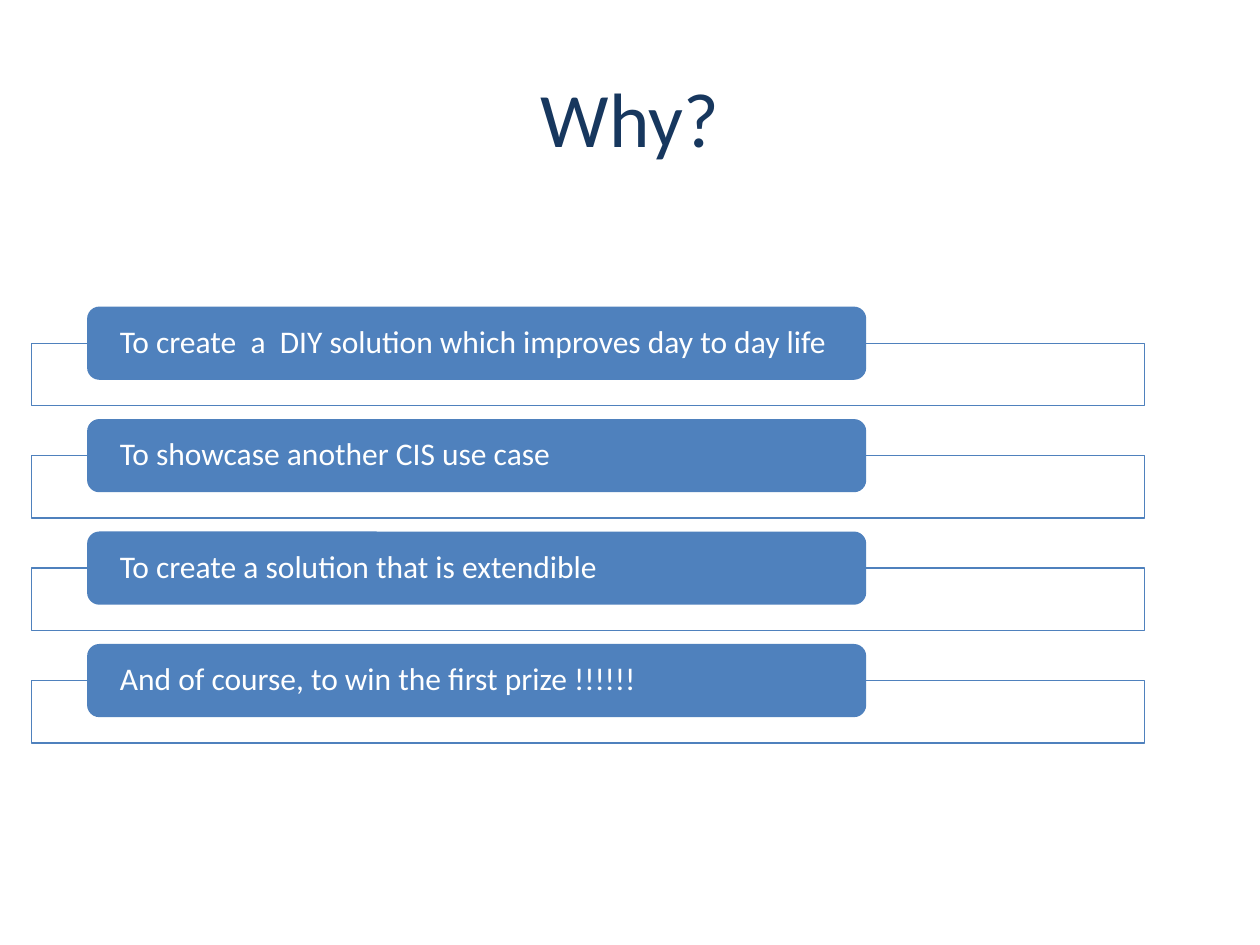
from lxml import etree
from pptx import Presentation, util as u
from pptx.dml.color import RGBColor
from pptx.enum import shapes, text
from pptx.oxml import ns

Pt = u.Pt
HUES = {"navy": "17375E", "blue": "4F81BD", "white": "FFFFFF"}
GOALS = [
    "To create  a  DIY solution which improves day to day life",
    "To showcase another CIS use case",
    "To create a solution that is extendible",
    "And of course, to win the first prize !!!!!!",
]


def hue(name):
    return RGBColor.from_string(HUES[name])


def style(para, size, tint):
    for run in para.runs:
        run.font.name = "Calibri"
        run.font.size = Pt(size)
        run.font.color.rgb = hue(tint)


def add_block(slide, kind, box, fill):
    block = slide.shapes.add_shape(kind, *map(Pt, box))
    block.shadow.inherit = False
    block.fill.solid()
    block.fill.fore_color.rgb = hue(fill)
    return block


def add_title(slide, box, words):
    title = slide.shapes.title
    title.left, title.top, title.width, title.height = map(Pt, box)
    frame = title.text_frame
    frame.text = words
    frame.vertical_anchor = text.MSO_ANCHOR.MIDDLE
    para = frame.paragraphs[0]
    para.alignment = text.PP_ALIGN.CENTER
    style(para, 44, "navy")


def add_frame(slide, box):
    frame = add_block(slide, shapes.MSO_SHAPE.RECTANGLE, box, "white")
    tint = frame.fill._xPr.find(".//" + ns.qn("a:srgbClr"))
    etree.SubElement(tint, ns.qn("a:alpha"), val="90000")
    frame.line.color.rgb = hue("blue")
    frame.line.width = Pt(0.75)


def add_label(slide, box, words):
    label = add_block(slide, shapes.MSO_SHAPE.ROUNDED_RECTANGLE, box, "blue")
    label.line.fill.background()
    frame = label.text_frame
    frame.text = words
    frame.word_wrap = True
    frame.vertical_anchor = text.MSO_ANCHOR.MIDDLE
    frame.margin_left = frame.margin_right = Pt(16.7)
    frame.margin_top = frame.margin_bottom = 0
    para = frame.paragraphs[0]
    para.alignment = text.PP_ALIGN.LEFT
    para.line_spacing = 0.9
    style(para, 18, "white")


def add_goals(slide, box, goals):
    left, top, width, height = box
    tall, low = 41.8, 35.7
    step = (height - tall / 2 - low) / (len(goals) - 1)
    for i, goal in enumerate(goals):
        y = top + i * step
        add_frame(slide, (left, y + tall / 2, width, low))
        add_label(slide, (left + width * 0.05, y, width * 0.7, tall), goal)


def main():
    deck = Presentation()
    deck.slide_width, deck.slide_height = Pt(720), Pt(540)
    slide = deck.slides.add_slide(deck.slide_layouts[5])
    add_title(slide, (36, 21.6, 648, 90), "Why?")
    add_goals(slide, (18, 175.2, 636, 249.4), GOALS)
    deck.save("out.pptx")


if __name__ == "__main__":
    main()
